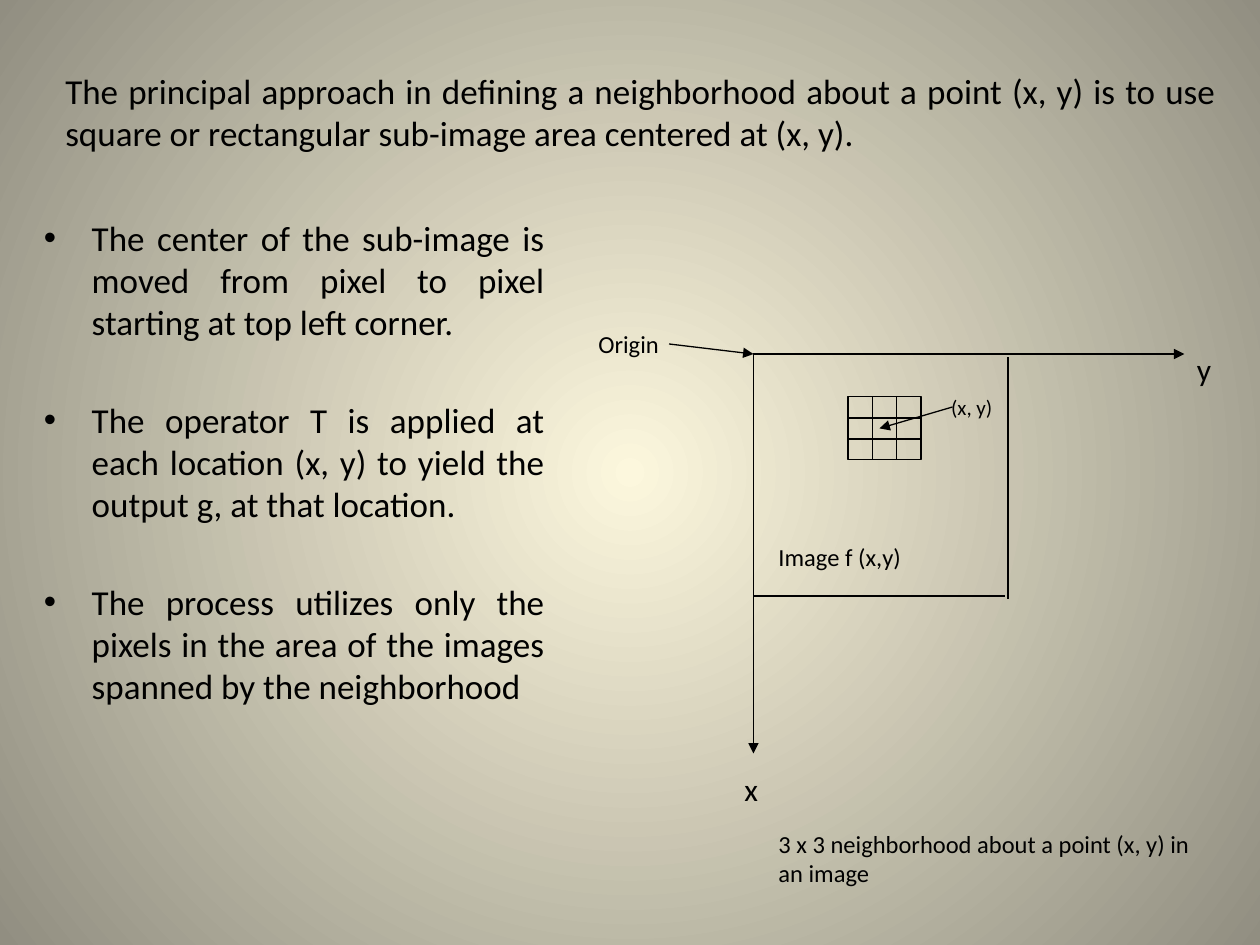
from collections import namedtuple
from dataclasses import dataclass

from lxml import etree
from pptx import Presentation
from pptx.dml.color import RGBColor
from pptx.enum.shapes import MSO_CONNECTOR, MSO_SHAPE
from pptx.enum.text import MSO_ANCHOR, PP_ALIGN
from pptx.oxml.ns import qn
from pptx.util import Inches, Pt

STRAIGHT = MSO_CONNECTOR.STRAIGHT
RECTANGLE = MSO_SHAPE.RECTANGLE
LEFT, JUSTIFY = PP_ALIGN.LEFT, PP_ALIGN.JUSTIFY
TOP, MIDDLE = MSO_ANCHOR.TOP, MSO_ANCHOR.MIDDLE

Box = namedtuple("Box", "left top width height")


@dataclass(frozen=True)
class Theme:
    font: str = "Calibri"
    ink: RGBColor = RGBColor(0x00, 0x00, 0x00)
    glow: RGBColor = RGBColor(0xFC, 0xF7, 0xDD)
    edge: RGBColor = RGBColor(0x91, 0x8E, 0x81)
    body: int = 20
    axis: int = 18
    label: int = 14
    point: int = 12
    stroke: float = 0.75


THEME = Theme()


def add_text(slide, box, *texts, size, align=LEFT, anchor=TOP, gap=0, bullet=False):
    frame = slide.shapes.add_textbox(*map(Inches, box)).text_frame
    frame.word_wrap = True
    frame.vertical_anchor = anchor
    for index, text in enumerate(texts):
        paragraph = frame.add_paragraph() if index else frame.paragraphs[0]
        if bullet:
            properties = paragraph._p.get_or_add_pPr()
            properties.set("marL", str(Inches(0.38)))
            properties.set("indent", str(Inches(-0.38)))
            etree.SubElement(properties, qn("a:buFont")).set("typeface", "Arial")
            etree.SubElement(properties, qn("a:buChar")).set("char", "•")
        paragraph.alignment = align
        if index:
            paragraph.space_before = Pt(gap)
        run = paragraph.add_run()
        run.text = text
        run.font.name = THEME.font
        run.font.size = Pt(size)
        run.font.color.rgb = THEME.ink


def add_line(slide, start, end, arrow=False):
    line = slide.shapes.add_connector(STRAIGHT, *map(Inches, (*start, *end)))
    line.line.color.rgb = THEME.ink
    line.line.width = Pt(THEME.stroke)
    if arrow:
        outline = line.line._get_or_add_ln()
        etree.SubElement(outline, qn("a:tailEnd")).set("type", "triangle")
    etree.SubElement(line._element.spPr, qn("a:effectLst"))


def paint_background(slide):
    fill = slide.background.fill
    fill.gradient()
    for stop, color, position in zip(fill.gradient_stops, (THEME.glow, THEME.edge), (0, 1)):
        stop.color.rgb = color
        stop.position = position
    linear = slide.background._cSld.find(".//" + qn("a:lin"))
    circle = etree.Element(qn("a:path"))
    circle.set("path", "circle")
    center = etree.SubElement(circle, qn("a:fillToRect"))
    for side in "ltrb":
        center.set(side, "50000")
    linear.getparent().replace(linear, circle)


def add_introduction(slide, box):
    add_text(
        slide, box,
        "The principal approach in defining a neighborhood about a point (x, y) is to use "
        "square or rectangular sub-image area centered at (x, y).",
        size=THEME.body, align=JUSTIFY,
    )


def add_steps(slide, box):
    add_text(
        slide, box,
        "The center of the sub-image is moved from pixel to pixel starting at top left corner.",
        "The operator T is applied at each location (x, y) to yield the output g, at that location.",
        "The process utilizes only the pixels in the area of the images spanned by the neighborhood",
        size=THEME.body, align=JUSTIFY, gap=32, bullet=True,
    )


def add_neighborhood(slide, box, cells=3):
    left, top, width, height = box
    right, bottom = left + width, top + height
    frame = slide.shapes.add_shape(RECTANGLE, *map(Inches, box))
    frame.shadow.inherit = False
    frame.fill.background()
    frame.line.color.rgb = THEME.ink
    frame.line.width = Pt(THEME.stroke)
    for step in range(1, cells):
        x, y = left + width * step / cells, top + height * step / cells
        add_line(slide, (x, top), (x, bottom))
        add_line(slide, (left, y), (right, y))
    add_text(slide, Box(right + 0.14, top - 0.07, 0.58, 0.3), "(x, y)", size=THEME.point)
    add_line(slide, (right + 0.25, top + 0.08), (left + 0.25, top + height / 2), arrow=True)


def add_image_axes(slide, box):
    left, top, width, height = box
    x, y = left + 1.33, top + 0.25
    image_side, y_end, x_end = 2, x + 3.42, y + 3.17
    image_right, image_bottom = x + image_side, y + 1.92

    add_line(slide, (x, y), (y_end, y), arrow=True)
    add_line(slide, (x, y), (x, x_end), arrow=True)
    add_line(slide, (x, image_bottom), (image_right, image_bottom))
    add_line(slide, (image_right + 0.02, image_bottom + 0.02), (image_right + 0.02, y + 0.02))
    add_line(slide, (left + 0.66, top + 0.17), (x, y), arrow=True)

    labels = (
        ("Origin", Box(left, top, 0.92, 0.33), THEME.label),
        ("Image f (x,y)", Box(x + 0.1, y + 1.44, 1.67, 0.33), THEME.label),
        ("x", Box(x - 0.17, top + height - 0.4, 0.33, 0.4), THEME.axis),
        ("y", Box(left + width - 0.33, y - 0.08, 0.33, 0.4), THEME.axis),
    )
    for text, place, size in labels:
        add_text(slide, place, text, size=size)
    add_neighborhood(slide, Box(x + 0.75, y + 0.34, 0.58, 0.5))


def add_caption(slide, box):
    add_text(
        slide, box, "3 x 3 neighborhood about a point (x, y) in an image",
        size=THEME.label, anchor=MIDDLE,
    )


def main():
    presentation = Presentation()
    presentation.slide_width, presentation.slide_height = Inches(10), Inches(7.5)
    slide = presentation.slides.add_slide(presentation.slide_layouts[6])
    paint_background(slide)
    add_introduction(slide, Box(0.42, 0.5, 9.33, 0.77))
    add_steps(slide, Box(0.25, 1.67, 4.17, 4.95))
    add_image_axes(slide, Box(4.65, 2.56, 5.08, 3.9))
    add_caption(slide, Box(6.08, 6.5, 3.58, 0.62))
    presentation.save("out.pptx")


if __name__ == "__main__":
    main()
